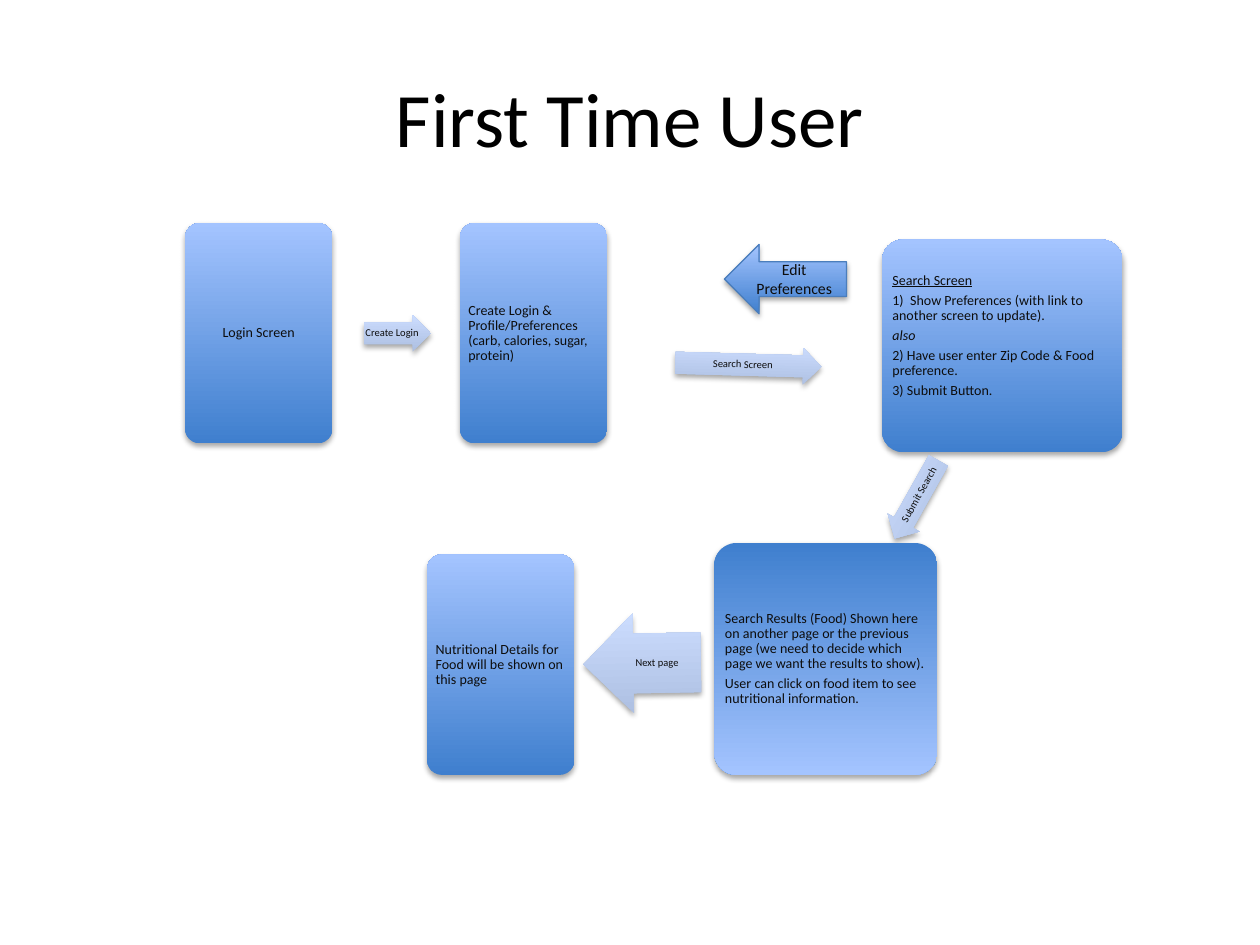
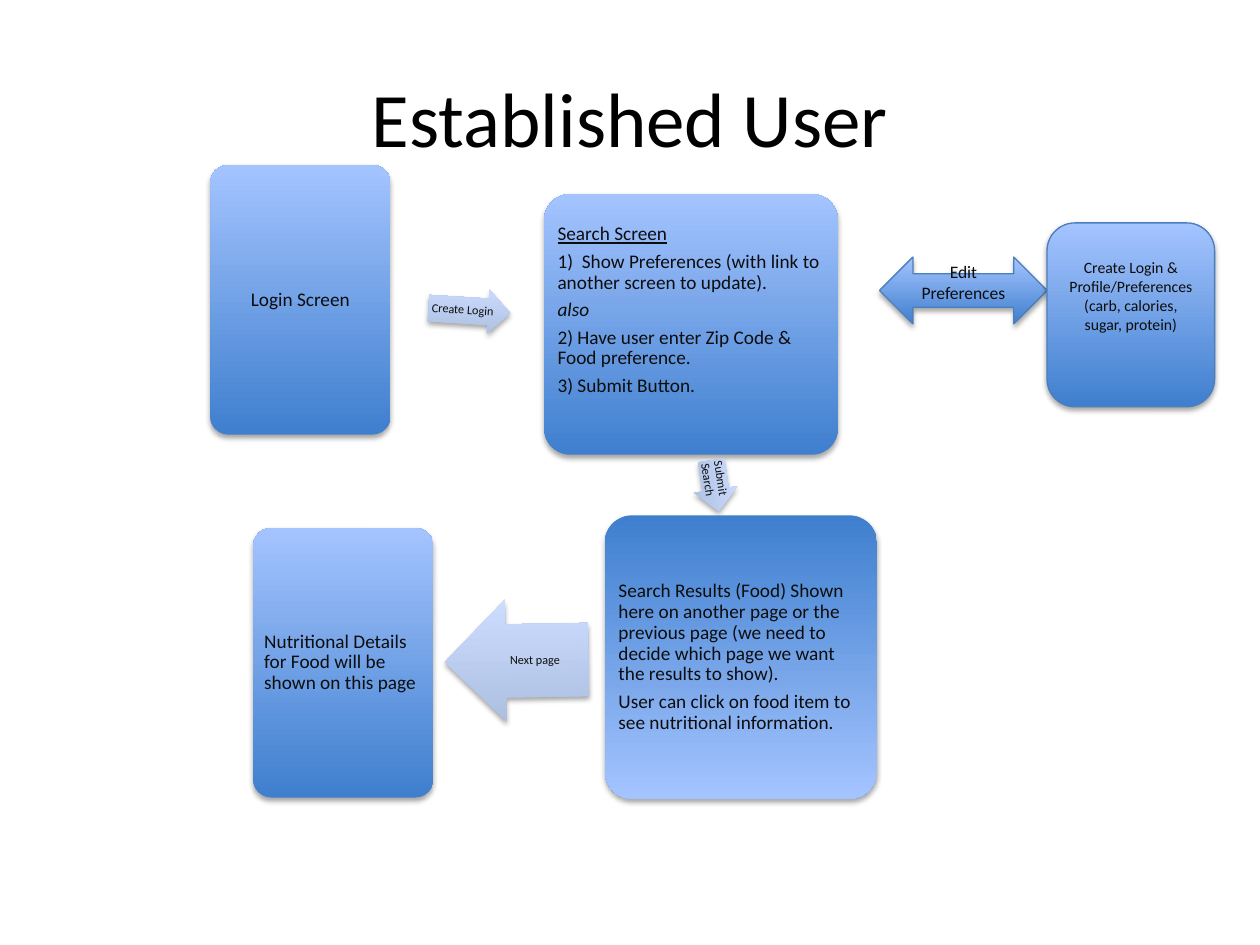
from lxml import etree
from pptx import Presentation
from pptx.dml.color import RGBColor
from pptx.enum import shapes, text
from pptx.oxml import ns
from pptx.util import Pt

COLORS = {
    "title": "000000",
    "text": "0D0D0D",
    "box_dark": "3F7FCE",
    "box_light": "A4C4FF",
    "arrow_dark": "ADBFE1",
    "arrow_light": "CCDDFF",
    "outline": "4B7EBC",
    "shadow": "000000",
}
FONT = "Calibri"
KIND = shapes.MSO_SHAPE
LEFT, CENTER = text.PP_ALIGN.LEFT, text.PP_ALIGN.CENTER
UP, DOWN = 90, 270  # gradient runs from dark to light in this direction

LOGIN = ["Login Screen"]
PROFILE = ["Create Login & Profile/Preferences (carb, calories, sugar, protein)"]
SEARCH = [
    ("Search Screen", "underline"),
    "1)  Show Preferences (with link to another screen to update).",
    ("also", "italic"),
    "2) Have user enter Zip Code & Food preference.",
    "3) Submit Button.",
]
RESULTS = [
    "Search Results (Food) Shown here on another page or the previous page "
    "(we need to decide which page we want the results to show).",
    "User can click on food item to see nutritional information.",
]
DETAILS = ["Nutritional Details for Food will be shown on this page"]


def rgb(name):
    return RGBColor.from_string(COLORS[name])


class FlowDeck:
    def __init__(self):
        self.deck = Presentation()
        self.deck.slide_width, self.deck.slide_height = Pt(720), Pt(540)
        self.page = None
        self.box_size = self.label_size = 0

    def add_page(self, title, box_size, label_size):
        """Start a slide; the sizes apply to its boxes and arrow labels."""
        self.page = self.deck.slides.add_slide(self.deck.slide_layouts[6])
        self.box_size, self.label_size = box_size, label_size
        heading = self.page.shapes.add_textbox(Pt(36), Pt(21.6), Pt(648), Pt(90))
        self.add_text(heading, [title], 44, CENTER, (7.2, 3.6, 7.2, 3.6), "title")

    def add_text(self, shape, lines, size, align, insets, color="text", compact=False):
        """Fill a shape; a line is a string or a (string, font attribute) pair."""
        frame = shape.text_frame
        frame.word_wrap = True
        frame.vertical_anchor = text.MSO_ANCHOR.MIDDLE
        (frame.margin_left, frame.margin_top,
         frame.margin_right, frame.margin_bottom) = map(Pt, insets)
        for index, line in enumerate(lines):
            para = frame.add_paragraph() if index else frame.paragraphs[0]
            para.alignment = align
            if compact:
                para.line_spacing = 0.9
                para.space_after = Pt(0.35 * size)
            wording, emphasis = (line, None) if isinstance(line, str) else line
            span = para.add_run()
            span.text = wording
            span.font.name, span.font.size = FONT, Pt(size)
            span.font.color.rgb = rgb(color)
            span.font.underline = True if emphasis == "underline" else None
            span.font.italic = True if emphasis == "italic" else None

    def shape(self, kind, place, palette, direction=UP, turn=0, outlined=False):
        """Add a preset shape with gradient fill and soft shadow."""
        shape = self.page.shapes.add_shape(kind, *map(Pt, place))
        shape.rotation = turn
        shape.fill.gradient()
        shape.fill.gradient_angle = direction
        for stop, tone in zip(shape.fill.gradient_stops, ("dark", "light")):
            stop.color.rgb = rgb(f"{palette}_{tone}")
        if outlined:
            shape.line.color.rgb = rgb("outline")
            shape.line.width = Pt(0.75)
        else:
            shape.line.fill.background()
        self.drop_shadow(shape)
        return shape

    def drop_shadow(self, shape):
        shape.shadow.inherit = False
        effects = shape._element.spPr.find(ns.qn("a:effectLst"))
        outer = etree.SubElement(
            effects, ns.qn("a:outerShdw"), blurRad=str(Pt(3.1)),
            dist=str(Pt(1.8)), dir="5400000", rotWithShape="0")
        tint = etree.SubElement(outer, ns.qn("a:srgbClr"), val=COLORS["shadow"])
        etree.SubElement(tint, ns.qn("a:alpha"), val="35000")

    def screen(self, lines, place, align=LEFT, direction=UP, lift=0):
        """Add a screen box; lift is extra room below the text, in lines."""
        box = self.shape(KIND.ROUNDED_RECTANGLE, place, "box", direction)
        box.adjustments[0] = 0.1
        inset = 0.3 * self.box_size
        bottom = inset + lift * self.box_size
        self.add_text(box, lines, self.box_size, align,
                      (inset, inset, inset, bottom), compact=True)

    def step(self, label, place, turn=0, kind=KIND.RIGHT_ARROW):
        """Add a pale arrow that names the step between two screens."""
        arrow = self.shape(kind, place, "arrow", turn=turn)
        arrow.adjustments[0], arrow.adjustments[1] = 0.6, 0.5
        self.add_text(arrow, [label], self.label_size, CENTER, (0, 0, 0, 0),
                      compact=True)

    def preference(self, kind, lines, place, size, top=3.6, bottom=3.6):
        """Add an outlined shape of the preferences branch."""
        shape = self.shape(kind, place, "box", outlined=True)
        self.add_text(shape, lines, size, CENTER, (7.2, top, 7.2, bottom))


def first_time_user(flow):
    flow.add_page("First Time User", box_size=8, label_size=6)
    small = (84.2, 126)
    flow.screen(LOGIN, (105.8, 127.4, *small), CENTER)
    flow.step("Create Login", (208.1, 180, 38.2, 20.9))
    flow.screen(PROFILE, (262.8, 127.4, *small))
    flow.step("Search Screen", (385.9, 198, 83.5, 20.9), 1.6)
    flow.screen(SEARCH, (504, 136.8, 137.5, 121.7), lift=1.45)
    flow.step("Submit Search", (498.2, 275, 51.1, 20.9), 299.3, KIND.LEFT_ARROW)
    flow.screen(RESULTS, (408.2, 310.3, 127.4, 132.5), direction=DOWN)
    flow.step("Next page", (333.4, 350.6, 67, 56.9), 359, KIND.LEFT_ARROW)
    flow.screen(DETAILS, (244.1, 316.8, *small))
    flow.preference(KIND.LEFT_ARROW, ["Edit Preferences"],
                    (414, 139.7, 69.8, 39.6), 9)


def established_user(flow):
    flow.add_page("Established User", box_size=11, label_size=7)
    small = (103, 154.1)
    flow.screen(LOGIN, (120.2, 94.3, *small), CENTER)
    flow.step("Create Login", (244.8, 164.9, 46.8, 25.2), 3.5)
    flow.screen(SEARCH, (311, 110.9, 167.8, 149), lift=1.45)
    flow.step("Submit Search", (393.8, 265, 29.5, 25.2), 81.5)
    flow.screen(RESULTS, (345.6, 294.5, 155.5, 162), direction=DOWN)
    flow.step("Next page", (254.2, 342.7, 82.1, 69.8), 359, KIND.LEFT_ARROW)
    flow.screen(DETAILS, (144.7, 301.7, *small))
    flow.preference(KIND.LEFT_RIGHT_ARROW, ["Edit Preferences"],
                    (502.6, 146.9, 95.8, 38.2), 10, top=0, bottom=9.2)
    flow.preference(KIND.ROUNDED_RECTANGLE, PROFILE,
                    (598.3, 127.4, 95.8, 105.1), 9, bottom=25)


def main():
    flow = FlowDeck()
    first_time_user(flow)
    established_user(flow)
    flow.deck.save("out.pptx")


if __name__ == "__main__":
    main()
